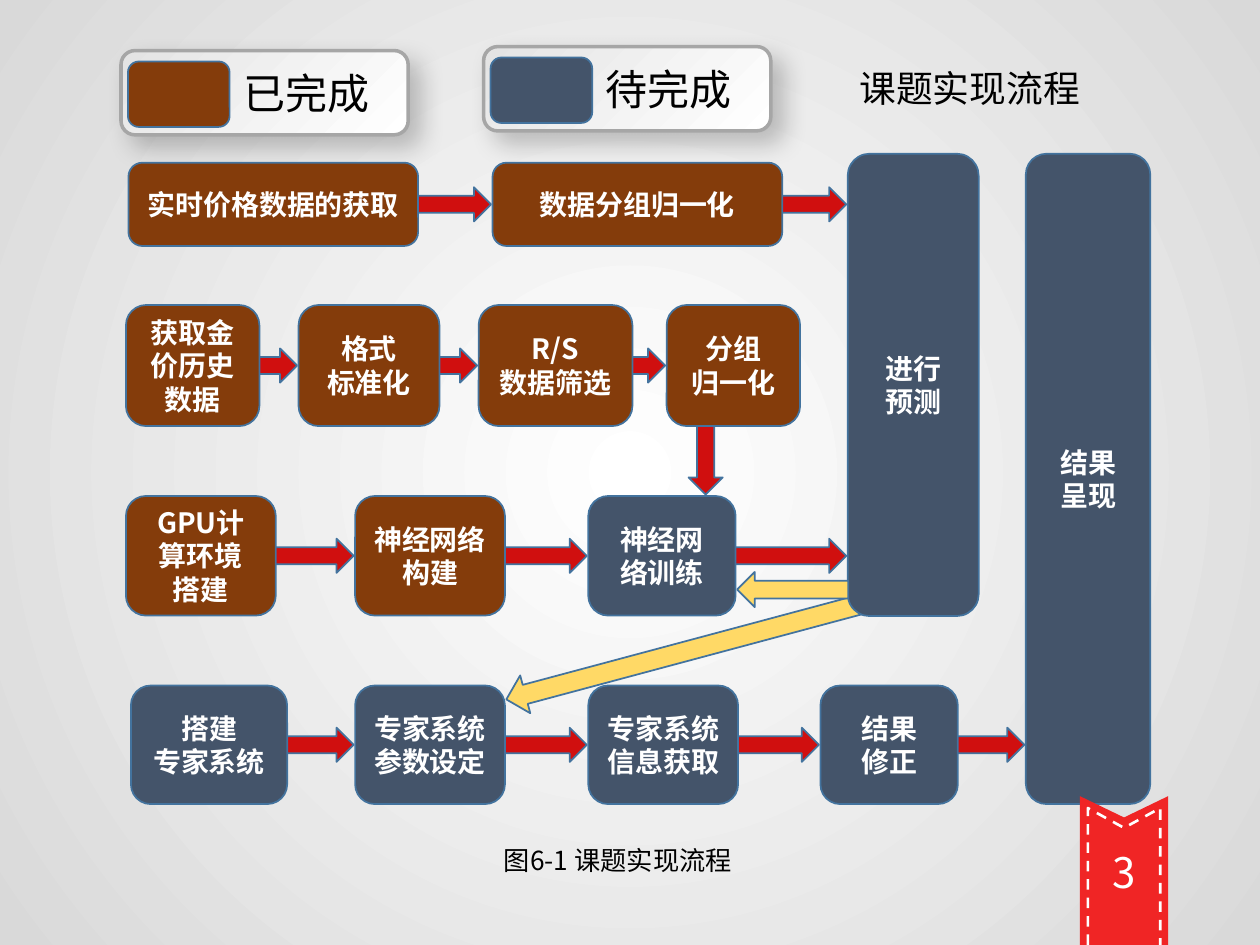
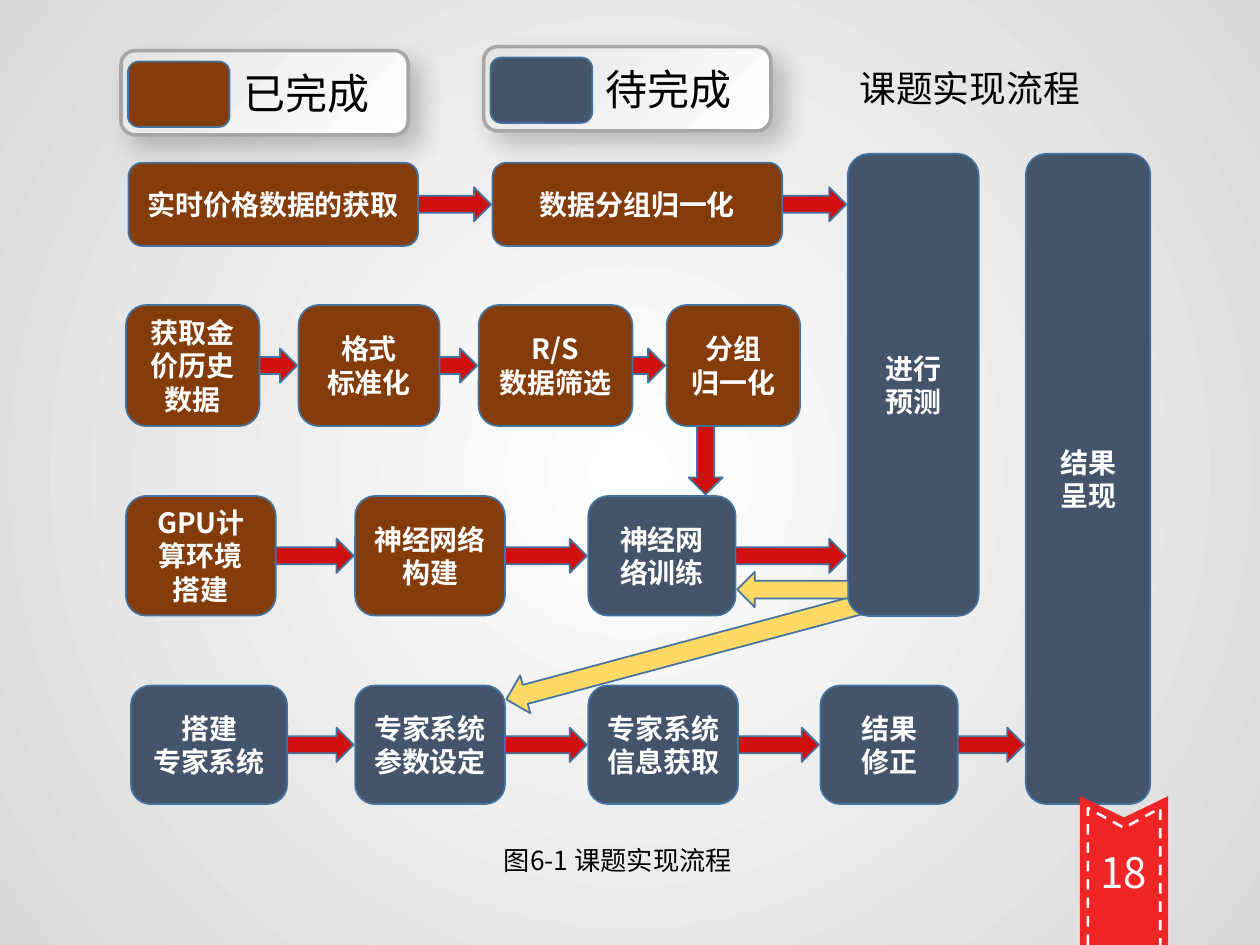
"""Builds the two project-flow slides."""
from lxml import etree
from pptx import Presentation
from pptx.dml.color import RGBColor
from pptx.enum.dml import MSO_LINE
from pptx.enum.shapes import MSO_SHAPE
from pptx.enum.text import MSO_ANCHOR, PP_ALIGN
from pptx.oxml.ns import qn
from pptx.util import Cm, Pt

ROUND, ARROW = MSO_SHAPE.ROUNDED_RECTANGLE, MSO_SHAPE.RIGHT_ARROW
TOP, MIDDLE = MSO_ANCHOR.TOP, MSO_ANCHOR.MIDDLE
LEFT, CENTER = PP_ALIGN.LEFT, PP_ALIGN.CENTER
DASH = MSO_LINE.DASH

FONT = "Noto Sans CJK SC"
COLORS = {
    "done": "843C0B", "todo": "44546A", "edge": "43739E", "flow": "D00F0F",
    "feedback": "FFD966", "ribbon": "F02525", "white": "FFFFFF", "black": "000000",
    "frame": "A6A6A6", "panel": "E4E4E4", "backdrop": "D9D9D9",
}
FORMATS = {
    "title": {"size": Pt(21), "bold": False},
    "caption": {"size": Pt(15), "bold": False},
    "legend": {"size": Pt(24), "bold": False},
    "step": {"size": Pt(16), "bold": True},
}
ARROW_W, ARROW_H = 2.03, 0.69
PREDICT_X, RESULT_X = 17.09, 20.68
PAGE_H = 19.05

LEGEND = [(2.44, 1.02, "已完成", "done"), (9.75, 0.94, "待完成", "todo")]
ROWS = [
    (3.28, 1.68, PREDICT_X, [(2.59, 5.84, "实时价格数据的获取", "done"),
                             (9.93, 5.84, "数据分组归一化", "done")]),
    (6.15, 2.44, None, [(2.54, 2.69, "获取金价历史数据", "done"),
                        (6.02, 2.84, "格式\n标准化", "done"),
                        (9.65, 3.1, "R/S\n数据筛选", "done"),
                        (13.44, 2.69, "分组\n归一化", "done")]),
    (10, 2.41, PREDICT_X, [(2.54, 3.02, "GPU计算环境\n搭建", "done"),
                           (7.16, 3.02, "神经网络构建", "done"),
                           (11.86, 2.97, "神经网络训练", "todo")]),
    (13.82, 2.39, RESULT_X, [(2.64, 3.15, "搭建\n专家系统", "todo"),
                             (7.16, 3.02, "专家系统参数设定", "todo"),
                             (11.86, 3.02, "专家系统信息获取", "todo"),
                             (16.54, 2.77, "结果\n修正", "todo")]),
]


def rgb(name):
    """Return the named colour."""
    return RGBColor.from_string(COLORS[name])


class Deck:
    """Holds the presentation, its style and the current slide."""

    def __init__(self):
        """Set the page size and the shared background."""
        self.prs = Presentation()
        self.prs.slide_width, self.prs.slide_height = Cm(25.4), Cm(PAGE_H)
        self.s = None
        master = self.prs.slide_master
        self.gradient(master.background.fill, "white", "backdrop")
        lin = master.element.find(".//" + qn("a:lin"))
        circle = etree.Element(qn("a:path"), {"path": "circle"})
        etree.SubElement(circle, qn("a:fillToRect"),
                         {side: "50000" for side in "ltrb"})
        lin.getparent().replace(lin, circle)

    def gradient(self, fill, start, end):
        """Give a fill two gradient stops."""
        fill.gradient()
        for stop, name in zip(fill.gradient_stops, (start, end)):
            stop.color.rgb = rgb(name)

    def label(self, sp, text, style, color="black", align=CENTER, anchor=MIDDLE):
        """Put styled paragraphs into a shape."""
        tf = sp.text_frame
        tf.text, tf.word_wrap, tf.vertical_anchor = text, True, anchor
        for p in tf.paragraphs:
            p.alignment = align
            for r in p.runs:
                r.font.color.rgb = rgb(color)
                r.font.name = FONT
                for key, value in FORMATS[style].items():
                    setattr(r.font, key, value)
                etree.SubElement(r.font._element, qn("a:ea"), typeface=FONT)

    def slide(self, title):
        """Start a slide and place its title."""
        self.s = self.prs.slides.add_slide(self.prs.slide_layouts[5])
        sp = self.s.shapes.title
        sp.left, sp.top, sp.width, sp.height = Cm(17.07), Cm(1.19), Cm(5.08), Cm(1.14)
        self.label(sp, title, "title", align=LEFT, anchor=TOP)

    def shape(self, kind, x, y, w, h, fill, rotation=0):
        """Add a filled preset shape with the common edge."""
        sp = self.s.shapes.add_shape(kind, Cm(x), Cm(y), Cm(w), Cm(h))
        sp.shadow.inherit = False
        sp.fill.solid()
        sp.fill.fore_color.rgb = rgb(fill)
        sp.line.color.rgb, sp.line.width = rgb("edge"), Pt(1)
        sp.rotation = rotation
        return sp

    def step(self, x, y, w, h, text, state):
        """Add a process step."""
        self.label(self.shape(ROUND, x, y, w, h, state), text, "step", "white")

    def row(self, y, h, target, steps):
        """Add a row of steps, with arrows that end at the next step."""
        ends = [x for x, *_ in steps[1:]] + ([target] if target else [])
        for (x, w, *_), end in zip(steps, ends):
            length = max(ARROW_W, end - x - w)
            self.shape(ARROW, end - length - 0.03, y + (h - ARROW_H) / 2,
                       length, ARROW_H, "flow")
        for x, w, text, state in steps:
            self.step(x, y, w, h, text, state)

    def legend(self, x, y, text, state):
        """Add a legend panel with its colour swatch."""
        sp = self.shape(ROUND, x, y, 5.79, 1.7, "panel")
        self.gradient(sp.fill, "panel", "white")
        sp.fill.gradient_angle = 315
        sp.line.color.rgb, sp.line.width = rgb("frame"), Pt(2)
        effects = sp._element.spPr.find(qn("a:effectLst"))
        shadow = etree.SubElement(effects, qn("a:outerShdw"), blurRad=str(Pt(14)),
                                  dist=str(Pt(9)), dir="2700000", rotWithShape="0")
        color = etree.SubElement(shadow, qn("a:srgbClr"), val=COLORS["black"])
        etree.SubElement(color, qn("a:alpha"), val="22000")
        sp.text_frame.margin_left = Cm(1.93)
        self.label(sp, text, "legend")
        self.shape(ROUND, x + 0.14, y + 0.22, 2.05, 1.32, state)

    def text(self, x, y, w, h, text, style, color="black", align=LEFT):
        """Add a text box."""
        sp = self.s.shapes.add_textbox(Cm(x), Cm(y), Cm(w), Cm(h))
        self.label(sp, text, style, color, align, TOP)

    def outline(self, points, closed):
        """Add a freeform through the points."""
        start, *rest = [(Cm(x), Cm(y)) for x, y in points]
        builder = self.s.shapes.build_freeform(*start)
        builder.add_line_segments(rest, close=closed)
        sp = builder.convert_to_shape()
        sp.shadow.inherit = False
        return sp

    def ribbon(self, number):
        """Add the page-number ribbon."""
        band = self.outline([(21.77, PAGE_H), (21.77, 16.05), (22.66, 16.48),
                             (23.55, 16.05), (23.55, PAGE_H)], True)
        band.fill.solid()
        band.fill.fore_color.rgb = rgb("ribbon")
        band.line.fill.background()
        stitch = self.outline([(21.93, PAGE_H), (21.93, 16.29), (22.66, 16.69),
                               (23.39, 16.29), (23.39, PAGE_H)], False)
        stitch.fill.background()
        stitch.line.color.rgb = rgb("white")
        stitch.line.width, stitch.line.dash_style = Pt(1.5), DASH
        self.text(21.85, 16.93, 1.62, 1.27, str(number), "legend", "white", CENTER)

    def flow(self, number):
        """Build one project-flow slide."""
        self.slide("课题实现流程")
        self.shape(ARROW, 10.08, 12.75, 7.37, 0.79, "feedback", 165)
        self.shape(ARROW, 13.21, 8.61, ARROW_W, ARROW_H, "flow", 90)
        for entry in LEGEND:
            self.legend(*entry)
        for row in ROWS:
            self.row(*row)
        self.step(PREDICT_X, 3.1, 2.64, 9.32, "进行\n预测", "todo")
        self.step(RESULT_X, 3.1, 2.51, 13.11, "结果\n呈现", "todo")
        self.shape(ARROW, 14.86, 11.53, 2.24, 0.71, "feedback", 180)
        self.text(9.91, 16.89, 5.89, 0.89, "图6-1 课题实现流程", "caption")
        self.ribbon(number)


def main():
    """Build and save the slides."""
    deck = Deck()
    for number in (3, 18):
        deck.flow(number)
    deck.prs.save("out.pptx")


if __name__ == "__main__":
    main()
